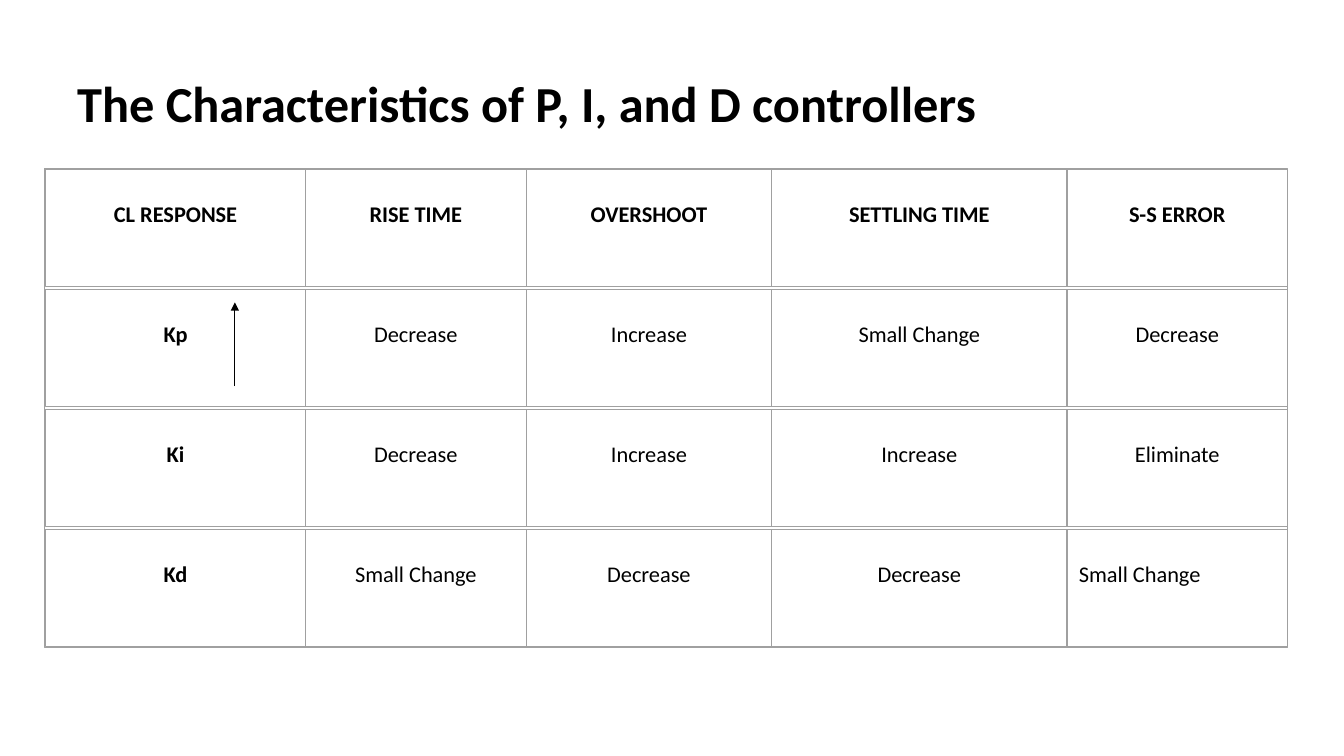
from dataclasses import dataclass

from lxml import etree
from pptx import Presentation
from pptx import util as u
from pptx.dml import color
from pptx.enum import shapes, text
from pptx.oxml import ns


@dataclass
class Theme:
    font: str = "Calibri"
    ink: color.RGBColor = color.RGBColor(0, 0, 0)
    grid: color.RGBColor = color.RGBColor(0xA0, 0xA0, 0xA0)
    title_size: u.Pt = u.Pt(36)
    cell_size: u.Pt = u.Pt(16)
    hairline: u.Pt = u.Pt(0)
    line: u.Pt = u.Pt(0.75)


theme = Theme()


def format_text(paragraph, size, bold):
    for run in paragraph.runs:
        run.font.name = theme.font
        run.font.size = size
        run.font.bold = bold
        run.font.color.rgb = theme.ink


def add_frame(slide, left, top, width, height, line_width):
    frame = slide.shapes.add_shape(
        shapes.MSO_SHAPE.RECTANGLE, u.Cm(left), u.Cm(top), u.Cm(width), u.Cm(height))
    frame.shadow.inherit = False
    frame.fill.background()
    frame.line.color.rgb = theme.grid
    frame.line.width = line_width


presentation = Presentation()
presentation.slide_width = u.Cm(33.87)
presentation.slide_height = u.Cm(19.05)
slide = presentation.slides.add_slide(presentation.slide_layouts[5])

title = slide.shapes.title
title.left, title.top, title.width, title.height = u.Cm(1.69), u.Cm(1.68), u.Cm(23.55), u.Cm(1.8)
title.text_frame.text = "The Characteristics of P, I, and D controllers"
title.text_frame.word_wrap = False
title.text_frame.auto_size = text.MSO_AUTO_SIZE.NONE
title.text_frame.vertical_anchor = text.MSO_ANCHOR.MIDDLE
title.text_frame.paragraphs[0].alignment = text.PP_ALIGN.LEFT
format_text(title.text_frame.paragraphs[0], theme.title_size, True)

responses = [
    ["CL RESPONSE", "RISE TIME", "OVERSHOOT", "SETTLING TIME", "S-S ERROR"],
    ["Kp", "Decrease", "Increase", "Small Change", "Decrease"],
    ["Ki", "Decrease", "Increase", "Increase", "Eliminate"],
    ["Kd", "Small Change", "Decrease", "Decrease", "Small Change"],
]
column_widths = [6.55, 5.56, 6.19, 7.44, 5.56]
left, top = 1.15, 4.26
row_pitch, frame_height = 3.03, 2.95
width = sum(column_widths)

table = slide.shapes.add_table(
    len(responses), len(column_widths), u.Cm(left), u.Cm(top),
    u.Cm(width), u.Cm(row_pitch * len(responses))).table
table.first_row = False
table.horz_banding = False
for column, column_width in zip(table.columns, column_widths):
    column.width = u.Cm(column_width)
for row in table.rows:
    row.height = u.Cm(row_pitch)

for row_index, values in enumerate(responses):
    for column_index, value in enumerate(values):
        cell = table.cell(row_index, column_index)
        cell.fill.background()
        cell.text_frame.text = value
        cell.vertical_anchor = text.MSO_ANCHOR.TOP
        cell.margin_top = u.Cm(0.8)
        cell.margin_left = cell.margin_right = u.Cm(0.3)
        paragraph = cell.text_frame.paragraphs[0]
        paragraph.alignment = text.PP_ALIGN.CENTER
        format_text(paragraph, theme.cell_size, row_index == 0 or column_index == 0)
        add_frame(slide, left + sum(column_widths[:column_index]), top + row_pitch * row_index,
                  column_widths[column_index], frame_height, theme.hairline)
paragraph.alignment = text.PP_ALIGN.LEFT

add_frame(slide, 1.13, 4.24, 31.32, 12.07, theme.line)

arrow = slide.shapes.add_connector(
    shapes.MSO_CONNECTOR.STRAIGHT, u.Cm(5.92), u.Cm(9.73), u.Cm(5.92), u.Cm(7.62))
arrow.line.color.rgb = theme.ink
arrow.line.width = theme.line
etree.SubElement(arrow.line._get_or_add_ln(), ns.qn("a:tailEnd"), type="triangle")
etree.SubElement(arrow._element.spPr, ns.qn("a:effectLst"))

presentation.save("out.pptx")
